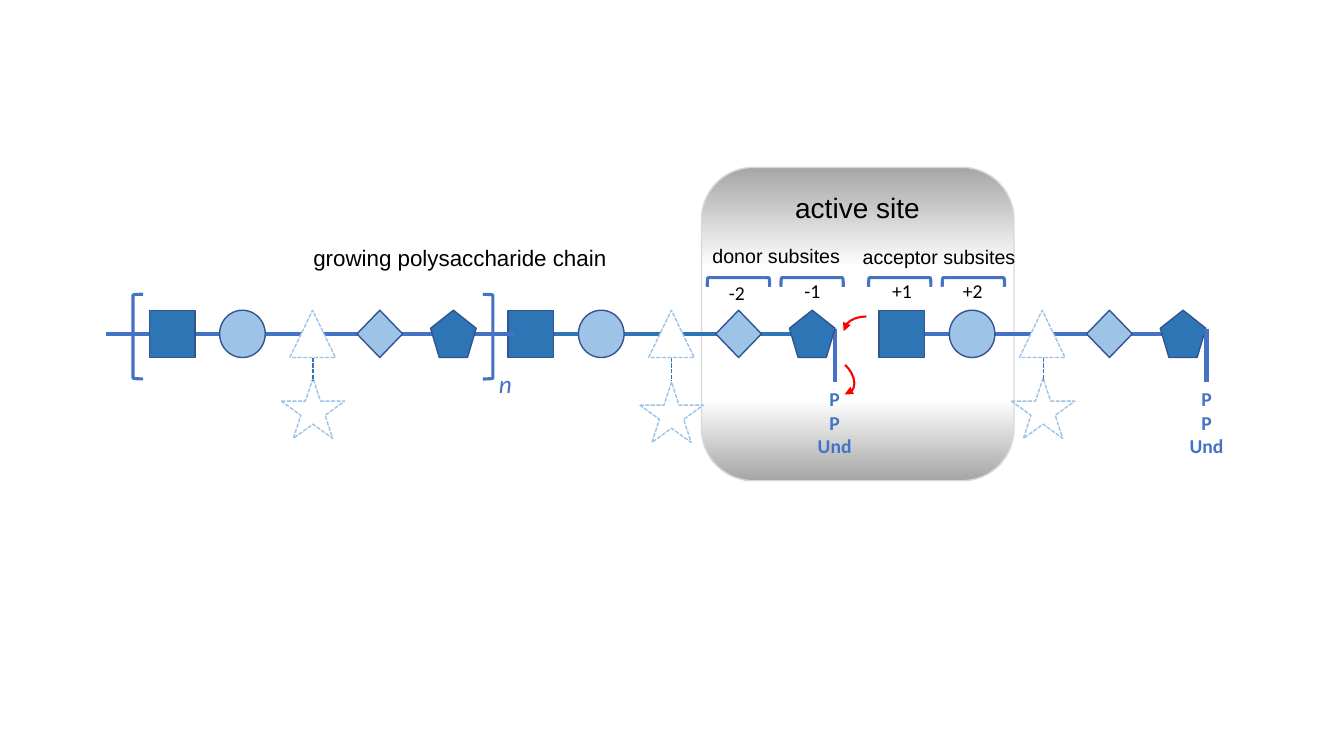
from lxml import etree
from pptx import Presentation
from pptx import util as u
from pptx.dml.color import RGBColor
from pptx.enum import dml, shapes, text
from pptx.oxml.ns import qn

Pt = u.Pt
KIND = shapes.MSO_SHAPE
COLORS = {
    "blue": "4472C4",
    "dark": "2E75B6",
    "light": "9DC3E6",
    "edge": "325491",
    "white": "FFFFFF",
    "gray": "A6A6A6",
    "border": "D9D9D9",
    "red": "FF0000",
    "black": "000000",
}
SUGAR_TOP, SUGAR_WIDTH, SUGAR_HEIGHT = 221.6, 32.6, 33.8
AXIS = SUGAR_TOP + SUGAR_HEIGHT / 2
SUGARS = [
    (KIND.RECTANGLE, 0, "dark", "edge", False),
    (KIND.OVAL, 50.3, "light", "edge", False),
    (KIND.ISOSCELES_TRIANGLE, 100.4, "white", "light", True),
    (KIND.REGULAR_PENTAGON, 201, "dark", "edge", False),
    (KIND.DIAMOND, 148.4, "light", "edge", False),
]


def rgb(name):
    return RGBColor.from_string(COLORS[name])


def style_line(item, color, width, dashed=False):
    item.line.color.rgb = rgb(color)
    item.line.width = Pt(width)
    if dashed:
        item.line.dash_style = dml.MSO_LINE.SQUARE_DOT


def add_figure(page, kind, left, top, width, height, line, weight=1,
               fill=None, dashed=False, rotation=0):
    figure = page.shapes.add_shape(kind, Pt(left), Pt(top), Pt(width), Pt(height))
    figure.shadow.inherit = False
    figure.rotation = rotation
    if fill:
        figure.fill.solid()
        figure.fill.fore_color.rgb = rgb(fill)
    else:
        figure.fill.background()
    style_line(figure, line, weight, dashed)
    return figure


def add_line(page, x1, y1, x2, y2, color="blue", width=3, dashed=False):
    line = page.shapes.add_connector(
        shapes.MSO_CONNECTOR.STRAIGHT, Pt(x1), Pt(y1), Pt(x2), Pt(y2))
    style_line(line, color, width, dashed)
    etree.SubElement(line._element.spPr, qn("a:effectLst"))
    return line


def add_text(page, content, left, top, width, height, size=14, font="Calibri",
             color="black", bold=False, italic=False, centered=False, wrap=False):
    box = page.shapes.add_textbox(Pt(left), Pt(top), Pt(width), Pt(height))
    frame = box.text_frame
    frame.word_wrap = wrap
    frame.auto_size = text.MSO_AUTO_SIZE.SHAPE_TO_FIT_TEXT
    for index, words in enumerate(content.split("\n")):
        para = frame.add_paragraph() if index else frame.paragraphs[0]
        para.alignment = text.PP_ALIGN.CENTER if centered else text.PP_ALIGN.LEFT
        span = para.add_run()
        span.text = words
        span.font.size = Pt(size)
        span.font.name = font
        span.font.bold = bold
        span.font.italic = italic
        span.font.color.rgb = rgb(color)


def add_active_site(page):
    site = add_figure(page, KIND.ROUNDED_RECTANGLE, 501.1, 119.5, 223.2, 223.9, "border")
    site.fill.gradient()
    site.fill.gradient_angle = 270
    stops = site._element.spPr.find(qn("a:gradFill")).find(qn("a:gsLst"))
    for stop in list(stops):
        stops.remove(stop)
    for percent, color in ((0, "gray"), (32, "white"), (74, "white"), (100, "gray")):
        stop = etree.SubElement(stops, qn("a:gs"), pos=str(percent * 1000))
        etree.SubElement(stop, qn("a:srgbClr"), val=COLORS[color])


def add_chain(page, left, line_start, line_end, color="blue"):
    backbone = add_line(page, line_start, AXIS, line_end, AXIS, color)
    sugars = [
        add_figure(page, kind, left + offset, SUGAR_TOP, SUGAR_WIDTH, SUGAR_HEIGHT,
                   edge, fill=fill, dashed=dashed)
        for kind, offset, fill, edge, dashed in SUGARS
    ]
    if line_start == left:
        backbone.begin_connect(sugars[0], 1)


def add_carrier(page, center):
    add_text(page, "P\nP\nUnd", center - 19.4, 272.9, 38.8, 58.3,
             color="blue", bold=True, centered=True)
    add_line(page, center, 234.7, center, 272.9)


def add_branch(page, center, star_top):
    add_figure(page, KIND.STAR_5_POINT, center - 22.8, star_top, 45.4, 43.2,
               "light", dashed=True)
    add_line(page, center, 255.6, center, 272, "dark", 1, True)


def add_curved_arrow(page, left, top, flips, rotation=0, angles=()):
    arrow = add_figure(page, KIND.ARC, left, top, 32.4, 20.9, "red", 1.5,
                       rotation=rotation)
    for index, angle in enumerate(angles):
        arrow.adjustments[index] = angle
    for flip in flips:
        arrow._element.spPr.find(qn("a:xfrm")).set(flip, "1")
    etree.SubElement(arrow._element.spPr.find(qn("a:ln")), qn("a:tailEnd"),
                     type="triangle")


def add_bracket(page, left, top, width, height, rotation=0):
    add_figure(page, KIND.LEFT_BRACKET, left, top, width, height, "blue", 2.25,
               rotation=rotation)


def main():
    deck = Presentation()
    deck.slide_width, deck.slide_height = Pt(960), Pt(540)
    page = deck.slides.add_slide(deck.slide_layouts[6])

    add_active_site(page)
    add_chain(page, 627.8, 627.8, 853.9)
    add_carrier(page, 596.2)
    add_chain(page, 362.9, 362.9, 588.2, "dark")
    add_curved_arrow(page, 602.6, 226.1, ["flipH"])

    add_text(page, "donor subsites", 501.8, 170.6, 105.8, 24.5, font="Arial")
    add_text(page, "acceptor subsites", 609.1, 171.4, 124.6, 24.5, font="Arial")
    add_text(page, "growing polysaccharide chain", 216.7, 170.8, 240.5, 26.6,
             size=16, font="Arial", wrap=True)
    add_carrier(page, 861.8)
    add_bracket(page, 344.9, 210.2, 7.2, 60.5, 180)
    add_text(page, "n", 349.2, 259.9, 23.8, 28.8, size=18, color="blue", italic=True)
    add_text(page, "active site", 560.9, 132.5, 104.4, 31.7, size=20, font="Arial")
    add_curved_arrow(page, 580.3, 257.8, ["flipH", "flipV"], 223, (162, 11.786))

    for label, left, top, width in (("-2", 513.4, 197.3, 25.9), ("-1", 567.4, 195.8, 25.9),
                                    ("+1", 630, 195.8, 28.8), ("+2", 673.2, 195.8, 43.2)):
        add_text(page, label, left, top, width, 24.5, centered=True)
    for pair_left in (524.2, 639.4):
        for subsite in range(2):
            add_bracket(page, pair_left + subsite * 52.6, 179.3, 6.5, 44.6, 90)

    add_chain(page, 106.6, 75.6, 367.2)
    add_bracket(page, 95, 210.2, 7.2, 60.5)
    for center, star_top in ((479.8, 272.9), (745.2, 270), (223.7, 270)):
        add_branch(page, center, star_top)

    deck.save("out.pptx")


if __name__ == "__main__":
    main()
